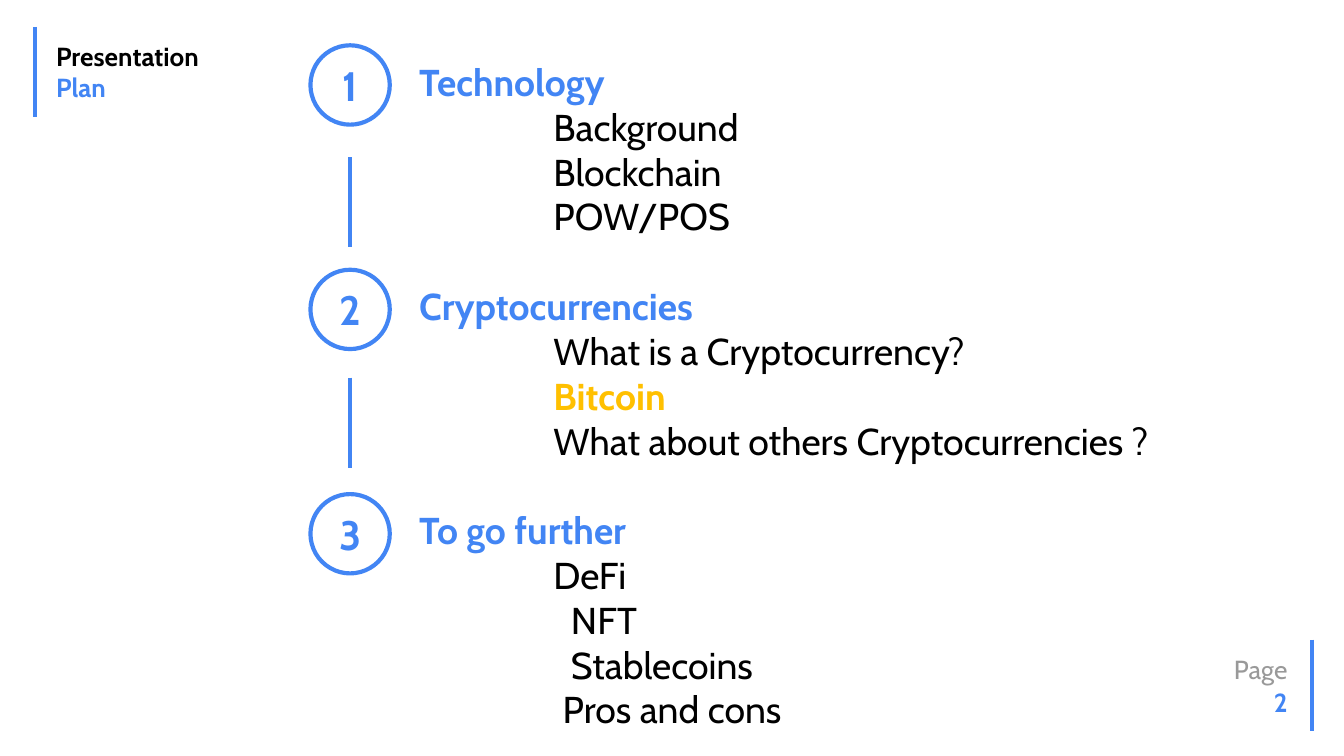
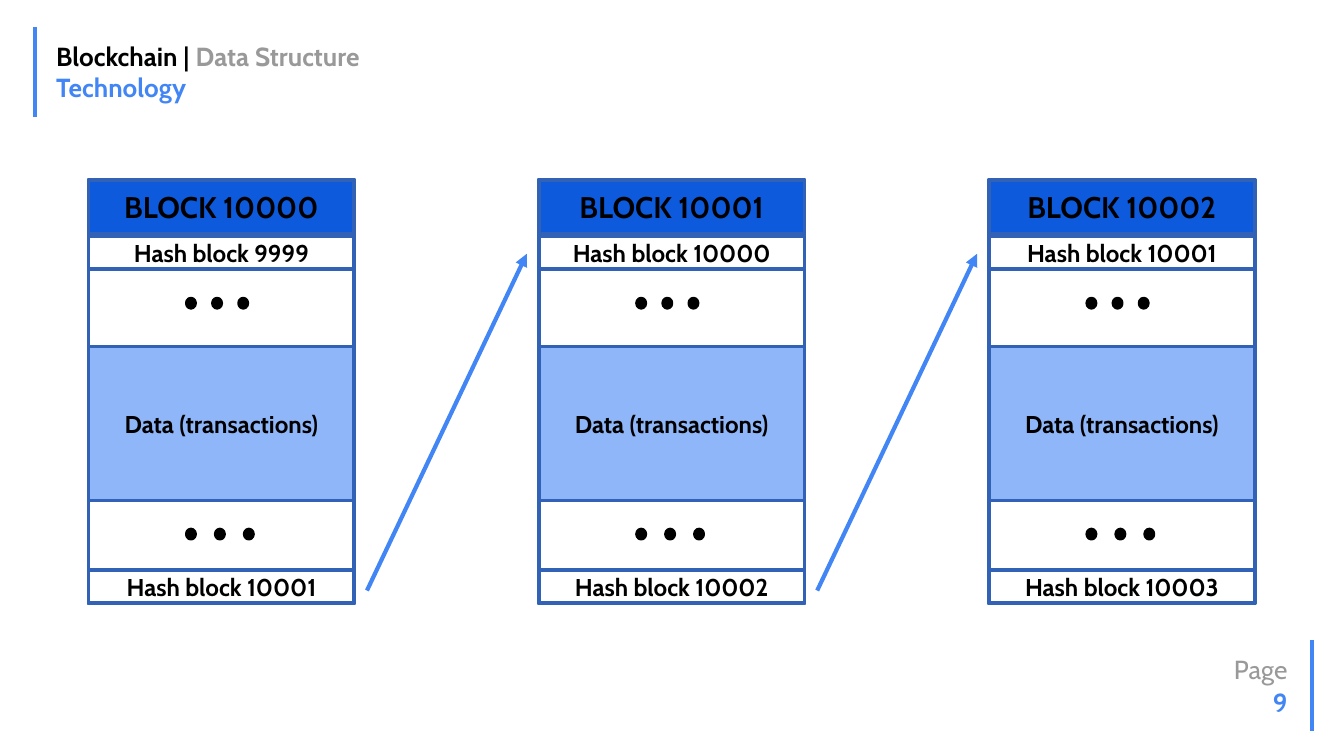
from lxml import etree
from pptx import Presentation
from pptx.dml.color import RGBColor
from pptx.enum import shapes, text
from pptx.oxml import ns
from pptx.util import Pt

# Content
PLAN = [
    ("Technology", [("Background", 72), ("Blockchain", 72), ("POW/POS", 72)]),
    ("Cryptocurrencies", [("What is a Cryptocurrency?", 72), ("Bitcoin", 72),
                          ("What about others Cryptocurrencies ?", 72)]),
    ("To go further", [("DeFi", 72), ("NFT", 81.4), ("Stablecoins", 81.4),
                       ("Pros and cons", 77)]),
]
CURRENT = "Bitcoin"
BLOCKS = [9999, 10000, 10001]  # number of the block before each one

# Style
COLORS = {"accent": "4285F4", "black": "000000", "grey": "999999", "gold": "FFC000",
          "white": "FFFFFF", "edge": "3162B5", "header": "0D5BDC", "data": "8EB6F8"}
FONT = "Cabin"
BAR = 2.25
LEFT, CENTER, RIGHT = (text.PP_ALIGN.LEFT, text.PP_ALIGN.CENTER, text.PP_ALIGN.RIGHT)
TOP, MIDDLE = text.MSO_ANCHOR.TOP, text.MSO_ANCHOR.MIDDLE
RECT, OVAL = shapes.MSO_SHAPE.RECTANGLE, shapes.MSO_SHAPE.OVAL


def rgb(name):
    return RGBColor.from_string(COLORS[name])


# Helpers
def add_run(p, words, size, color, bold=True):
    r = p.add_run()
    r.text = words
    for key, value in {"name": FONT, "size": Pt(size), "bold": bold}.items():
        setattr(r.font, key, value)
    r.font.color.rgb = rgb(color)


def set_frame(tf, anchor, inset_y=7.2):
    settings = {"word_wrap": True, "vertical_anchor": anchor,
                "margin_left": Pt(7.2), "margin_right": Pt(7.2),
                "margin_top": Pt(inset_y), "margin_bottom": Pt(inset_y)}
    for key, value in settings.items():
        setattr(tf, key, value)


def add_text(s, x, y, w, h, lines, align=LEFT, anchor=TOP):
    """Each line is a list of (words, size, color, bold) runs."""
    tf = s.shapes.add_textbox(Pt(x), Pt(y), Pt(w), Pt(h)).text_frame
    set_frame(tf, anchor)
    for i, line in enumerate(lines):
        p = tf.add_paragraph() if i else tf.paragraphs[0]
        p.alignment = align
        for run in line:
            add_run(p, *run)
    return tf


def add_shape(s, kind, x, y, w, h, fill, line, width=2, label=None, inset_y=3.6):
    sp = s.shapes.add_shape(kind, Pt(x), Pt(y), Pt(w), Pt(h))
    sp.shadow.inherit = False
    if fill:
        sp.fill.solid()
        sp.fill.fore_color.rgb = rgb(fill)
    else:
        sp.fill.background()
    sp.line.color.rgb = rgb(line)
    sp.line.width = Pt(width)
    if label:
        set_frame(sp.text_frame, MIDDLE, inset_y)
        p = sp.text_frame.paragraphs[0]
        p.alignment = CENTER
        add_run(p, *label)


def add_line(s, x1, y1, x2, y2, arrow=False):
    c = s.shapes.add_connector(shapes.MSO_CONNECTOR.STRAIGHT,
                               Pt(x1), Pt(y1), Pt(x2), Pt(y2))
    c.line.color.rgb = rgb("accent")
    c.line.width = Pt(BAR)
    if arrow:
        etree.SubElement(c.line._get_or_add_ln(), ns.qn("a:tailEnd"), type="triangle")
    etree.SubElement(c._element.spPr, ns.qn("a:effectLst"))


def add_page(prs, title, subtitle, number):
    """Blank slide with the title, page number and both side bars."""
    s = prs.slides.add_slide(prs.slide_layouts[6])
    add_text(s, 23, 14.4, 186, 48.4, [[(words, 14, color, True) for words, color in title],
                                      [(subtitle, 14, "accent", True)]])
    add_line(s, 18.7, 14.4, 18.7, 62.6)
    add_text(s, 598.3, 342.7, 98.6, 48.4, [[("Page", 14, "grey", False)]], RIGHT)
    add_line(s, 702.7, 342.7, 702.7, 391.7)
    add_text(s, 653.7, 360.7, 43.2, 31,
             [[(str(number), 14, "accent", True)]], RIGHT, MIDDLE)
    return s


# Plan: numbered circles joined by bars, beside the outline
def build_plan(prs):
    s = add_page(prs, [("Presentation", "black")], "Plan", 2)
    lines, indents, heads = [], [], []
    for heading, items in PLAN:
        heads.append(len(lines))
        lines.append([(heading, 20, "accent", True)])
        indents.append(0)
        for item, indent in items:
            now = item == CURRENT
            lines.append([(item, 20, "gold" if now else "black", now)])
            indents.append(indent)
    tf = add_text(s, 217.4, 24.5, 511, 378, lines)
    for i, (p, indent) in enumerate(zip(tf.paragraphs, indents)):
        p._p.get_or_add_pPr().set("marL", str(int(Pt(indent))))
        if i and i in heads:
            p.space_before = Pt(24)

    for i in range(len(PLAN)):
        add_shape(s, OVAL, 166.3, 24.3 + 120.2 * i, 42.5, 42.5, None, "accent", BAR,
                  (str(i + 1), 22, "accent"), 7.2)
    for i in range(len(PLAN) - 1):
        y = 84.2 + 118.1 * i
        add_line(s, 187.4, y, 187.4, y + 48.2)


# Chain: each block stores the hash of the one before it
def build_chain(prs):
    s = add_page(prs, [("Blockchain | ", "black"), ("Data Structure", "grey")],
                 "Technology", 9)
    left, pitch, width = 47.4, 241.2, 142.4
    for i, before in enumerate(BLOCKS):
        x = left + pitch * i
        rows = [  # top, height, fill, label, size
            (96.4, 226.8, "white", None, 0),
            (185.6, 82.6, "data", "Data (transactions)", 13),
            (96.4, 29, "header", f"BLOCK {before + 1}", 16),
            (126.5, 17.8, "white", f"Hash block {before}", 13),
            (305.4, 17.8, "white", f"Hash block {before + 2}", 13),
        ]
        for y, h, fill, label, size in rows:
            add_shape(s, RECT, x, y, width, h, fill, "edge",
                      label=label and (label, size, "black"))
        for y, step in ((160, 14), (283.7, 15.5)):
            for k in range(3):
                add_shape(s, OVAL, x + 52.7 + step * k, y, 4.4, 4.9, "black", "black")
    for i in range(len(BLOCKS) - 1):
        x = 196.6 + pitch * i
        add_line(s, x, 316.4, x + 85.6, 136, arrow=True)


def main():
    prs = Presentation()
    prs.slide_width, prs.slide_height = Pt(720), Pt(405)
    build_plan(prs)
    build_chain(prs)
    prs.save("out.pptx")


if __name__ == "__main__":
    main()
